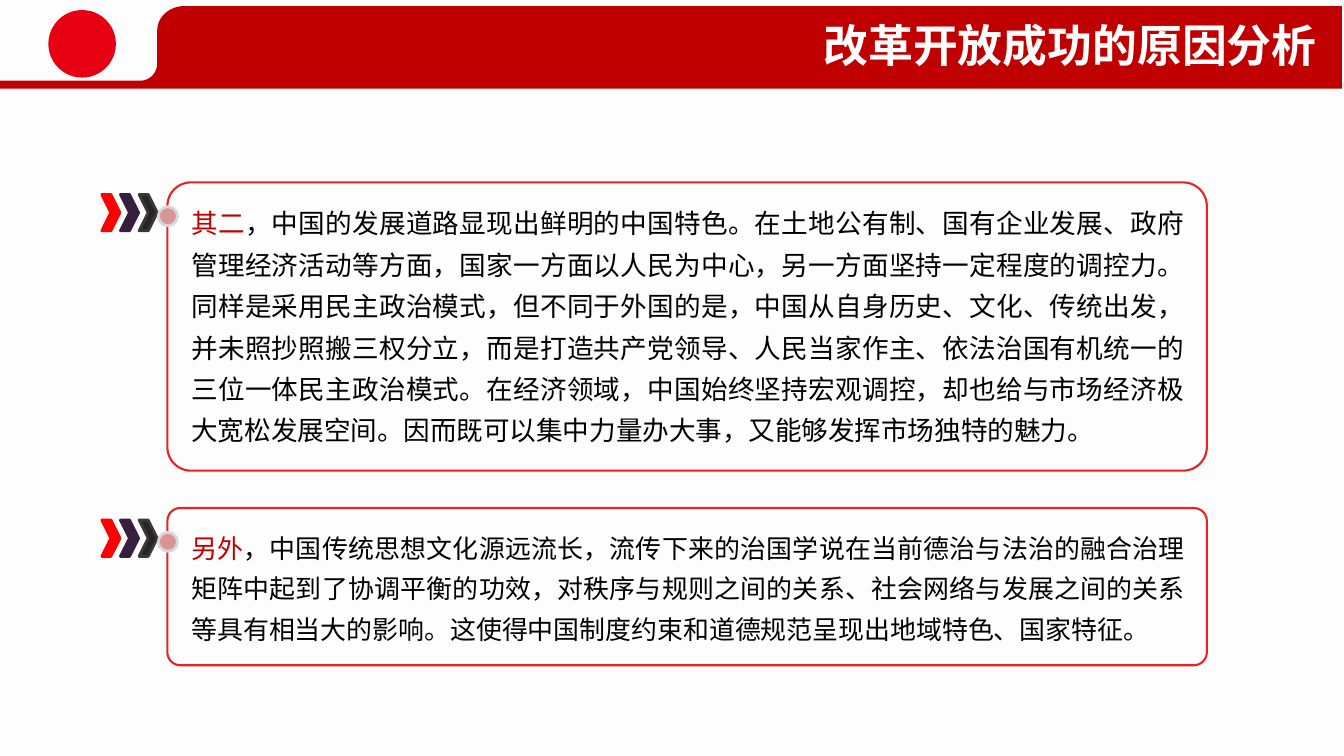
"""Builds a slide with a red title banner and two framed paragraphs."""
from lxml.etree import SubElement
from pptx import Presentation
from pptx.dml.color import RGBColor
from pptx.enum.shapes import MSO_SHAPE as SHAPE
from pptx.enum.text import PP_ALIGN as ALIGN
from pptx.oxml.ns import qn
from pptx.util import Inches, Pt

FONT = "Noto Sans CJK SC"
RED = "C00000"
CHEVRONS = [("FF0000", "FF0000"), ("351E3E", "351E3E"), ("262626", "3B3838")]
REASONS = [
    (1.81, 2.86, 19, "其二",
     "，中国的发展道路显现出鲜明的中国特色。在土地公有制、国有企业发展、政府管理经济活动等方面，"
     "国家一方面以人民为中心，另一方面坚持一定程度的调控力。同样是采用民主政治模式，但不同于外国的是，"
     "中国从自身历史、文化、传统出发，并未照抄照搬三权分立，而是打造共产党领导、人民当家作主、"
     "依法治国有机统一的三位一体民主政治模式。在经济领域，中国始终坚持宏观调控，"
     "却也给与市场经济极大宽松发展空间。因而既可以集中力量办大事，又能够发挥市场独特的魅力。"),
    (5.04, 1.56, 18.5, "另外",
     "，中国传统思想文化源远流长，流传下来的治国学说在当前德治与法治的融合治理矩阵中起到了协调平衡的功效，"
     "对秩序与规则之间的关系、社会网络与发展之间的关系等具有相当大的影响。"
     "这使得中国制度约束和道德规范呈现出地域特色、国家特征。"),
]


def rgb(color):
    """Turn a hex string into a colour."""
    return RGBColor.from_string(color)


def paint(sp, fill=None, line=None, width=2):
    """Set fill and outline, and remove the shadow."""
    sp.shadow.inherit = False
    if fill:
        sp.fill.solid()
        sp.fill.fore_color.rgb = rgb(fill)
    else:
        sp.fill.background()
    if line:
        sp.line.color.rgb = rgb(line)
        sp.line.width = Pt(width)
        SubElement(sp.line._get_or_add_ln(), qn("a:round"))
    else:
        sp.line.fill.background()


def add_shape(s, kind, box, fill=None, line=None, width=2):
    """Add a painted preset shape."""
    sp = s.shapes.add_shape(kind, *map(Inches, box))
    paint(sp, fill, line, width)
    return sp


def add_text(s, box, parts, size, align, bold=False, spacing=None):
    """Add one paragraph made of (text, colour) parts."""
    tf = s.shapes.add_textbox(*map(Inches, box)).text_frame
    tf.word_wrap = True
    p = tf.paragraphs[0]
    p.alignment = align
    p.line_spacing = spacing
    for text, color in parts:
        r = p.add_run()
        r.text = text
        r.font.size = Pt(size)
        r.font.bold = bold
        r.font.name = FONT
        r.font.color.rgb = rgb(color)
        SubElement(r._r.get_or_add_rPr(), qn("a:ea"), typeface=FONT)


def curve(start, control1, control2, end, steps=12):
    """Return points along a cubic curve."""
    def at(t, a, b, c, d):
        u = 1 - t
        return u**3 * a + 3 * u * u * t * b + 3 * u * t * t * c + t**3 * d
    return [tuple(at(i / steps, *axis) for axis in zip(start, control1, control2, end))
            for i in range(steps + 1)]


def add_banner(s):
    """Draw the red banner with a rounded notch at its left."""
    points = [(13.31, 0.06), (13.31, 0.88), (-0.02, 0.88), (-0.02, 0.8)]
    points += curve((1.41, 0.8), (1.49, 0.79), (1.55, 0.73), (1.56, 0.64))
    points += curve((1.56, 0.3), (1.56, 0.17), (1.68, 0.06), (1.83, 0.06))
    (x, y), *rest = [(Inches(x), Inches(y)) for x, y in points]
    builder = s.shapes.build_freeform(x, y)
    builder.add_line_segments(rest, close=True)
    paint(builder.convert_to_shape(), RED)


def add_reason(s, top, height, size, lead, body):
    """Add the chevrons, frame, dot and text of one reason."""
    for i, (fill, line) in enumerate(CHEVRONS):
        add_shape(s, SHAPE.CHEVRON, (1.01 + 0.185 * i, top + 0.12, 0.18, 0.36), fill, line)
    frame = add_shape(s, SHAPE.ROUNDED_RECTANGLE, (1.66, top, 10.31, height),
                      line="E92324", width=1.5)
    frame.adjustments[0] = 0.082
    add_shape(s, SHAPE.FLOWCHART_CONNECTOR, (1.57, top + 0.24, 0.19, 0.19), "D99593", "D8D8D8")
    add_text(s, (1.8, top + 0.1, 10.05, height - 0.28), [(lead, RED), (body, "000000")],
             size, ALIGN.JUSTIFY, spacing=1.3)


def main():
    """Build and save the slide."""
    prs = Presentation()
    prs.slide_width, prs.slide_height = Inches(13.33), Inches(7.5)
    s = prs.slides.add_slide(prs.slide_layouts[6])
    s.background.fill.solid()
    s.background.fill.fore_color.rgb = rgb("FDFDFD")
    add_shape(s, SHAPE.OVAL, (0.48, 0.1, 0.67, 0.67), "E60012")
    add_banner(s)
    add_text(s, (4.78, 0.13, 8.38, 0.64), [("改革开放成功的原因分析", "FFFFFF")],
             32, ALIGN.RIGHT, bold=True)
    for reason in REASONS:
        add_reason(s, *reason)
    prs.save("out.pptx")


if __name__ == "__main__":
    main()
